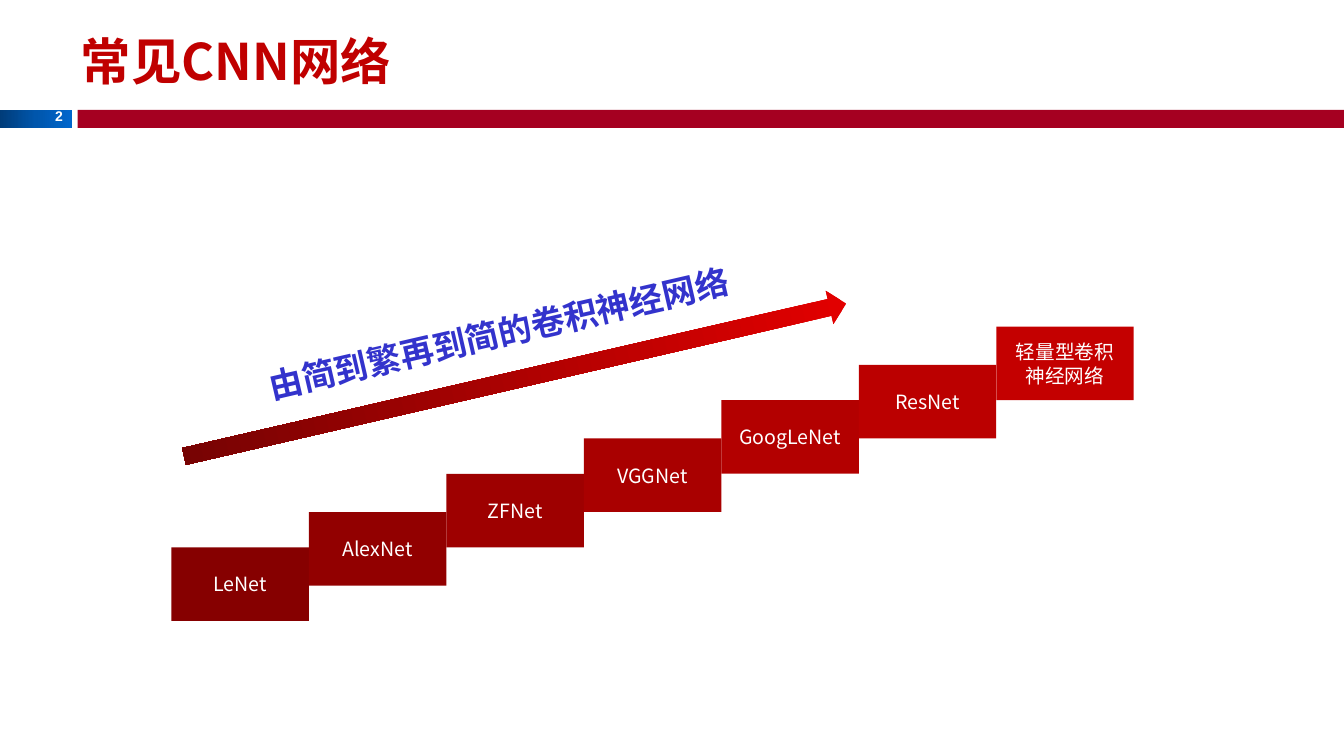
from copy import deepcopy
from dataclasses import dataclass

from lxml import etree
from pptx import Presentation, util as u
from pptx.dml.color import RGBColor
from pptx.enum import shapes, text
from pptx.oxml import ns

WIDE, HIGH = u.Inches(13.33), u.Inches(7.5)
SANS = "Noto Sans CJK SC"
HUES = {
    "title": "C00000",
    "band": "A50021",
    "text": "FFFFFF",
    "caption": "3333CC",
}
BADGE = ("003C79", "0056AC", "0066CC")
ARROW = ("E30000", "760303")


@dataclass
class Box:
    """Lengths in percent of the slide's width and height."""
    left: float
    top: float
    wide: float
    high: float

    def place(self) -> tuple[int, int, int, int]:
        return (int(WIDE * self.left / 100), int(HIGH * self.top / 100),
                int(WIDE * self.wide / 100), int(HIGH * self.high / 100))


@dataclass
class Net:
    name: str
    hue: str


@dataclass
class Style:
    size: int
    hue: str
    bold: bool = False
    face: str = SANS
    align: text.PP_ALIGN = text.PP_ALIGN.CENTER


NETS = [
    Net("LeNet", "860000"),
    Net("AlexNet", "920000"),
    Net("ZFNet", "9E0000"),
    Net("VGGNet", "A90000"),
    Net("GoogLeNet", "B30000"),
    Net("ResNet", "BB0000"),
    Net("轻量型卷积神经网络", "C40000"),
]
FIRST = Box(12.75, 72.4, 10.23, 9.73)
RISE = 4.67


def write(shape, words: str, style: Style, wrap: bool = True) -> None:
    frame = shape.text_frame
    frame.word_wrap = wrap
    frame.vertical_anchor = text.MSO_ANCHOR.MIDDLE
    para = frame.paragraphs[0]
    para.text = words
    para.alignment = style.align
    font = para.font
    font.size, font.bold, font.name = u.Pt(style.size), style.bold, style.face
    font.color.rgb = RGBColor.from_string(style.hue)
    base = para._p.pPr.find(ns.qn("a:defRPr"))
    etree.SubElement(base, ns.qn("a:ea"), typeface=style.face)


def draw(slide, box: Box, hues: tuple[str, ...],
         kind=shapes.MSO_SHAPE.RECTANGLE):
    shape = slide.shapes.add_shape(kind, *box.place())
    shape.shadow.inherit = False
    shape.line.fill.background()
    fill = shape.fill
    if len(hues) == 1:
        fill.solid()
        fill.fore_color.rgb = RGBColor.from_string(hues[0])
        return shape
    fill.gradient()
    fill.gradient_angle = 0
    stops = shape._element.spPr.find(ns.qn("a:gradFill")).gsLst
    for _ in hues[2:]:
        stops.append(deepcopy(stops[0]))
    for i, (stop, hue) in enumerate(zip(fill.gradient_stops, hues)):
        stop.position = i / (len(hues) - 1)
        stop.color.rgb = RGBColor.from_string(hue)
    return shape


def label(slide, box: Box, words: str, style: Style, wrap: bool = True):
    shape = slide.shapes.add_textbox(*box.place())
    write(shape, words, style, wrap)
    return shape


def stairs(slide) -> None:
    for i, net in enumerate(NETS):
        pair, half = divmod(i, 2)
        box = Box(FIRST.left + i * FIRST.wide,
                  FIRST.top - pair * FIRST.high - half * RISE,
                  FIRST.wide, FIRST.high)
        step = draw(slide, box, (net.hue,))
        write(step, net.name, Style(14, HUES["text"]))


def main() -> None:
    deck = Presentation()
    deck.slide_width, deck.slide_height = WIDE, HIGH
    slide = deck.slides.add_slide(deck.slide_layouts[5])

    title = slide.shapes.title
    title.left, title.top, title.width, title.height = Box(
        5.25, 1.6, 90.85, 12.8).place()
    write(title, "常见CNN网络",
          Style(36, HUES["title"], True, align=text.PP_ALIGN.LEFT))

    draw(slide, Box(0, 14.53, 5.33, 2.4), BADGE)
    draw(slide, Box(5.78, 14.53, 94.22, 2.4), (HUES["band"],))
    label(slide, Box(2.63, 13.6, 2.78, 3.6), "2",
          Style(10, HUES["text"], True, "Arial", text.PP_ALIGN.RIGHT), False)

    stairs(slide)
    arrow = draw(slide, Box(13.05, 48, 50.56, 4.53), ARROW,
                 shapes.MSO_SHAPE.LEFT_ARROW)
    arrow.rotation = 167
    note = label(slide, Box(15, 40.13, 44.19, 7.87),
                 "由简到繁再到简的卷积神经网络",
                 Style(24, HUES["caption"], True))
    note.rotation = 347
    deck.save("out.pptx")


if __name__ == "__main__":
    main()
